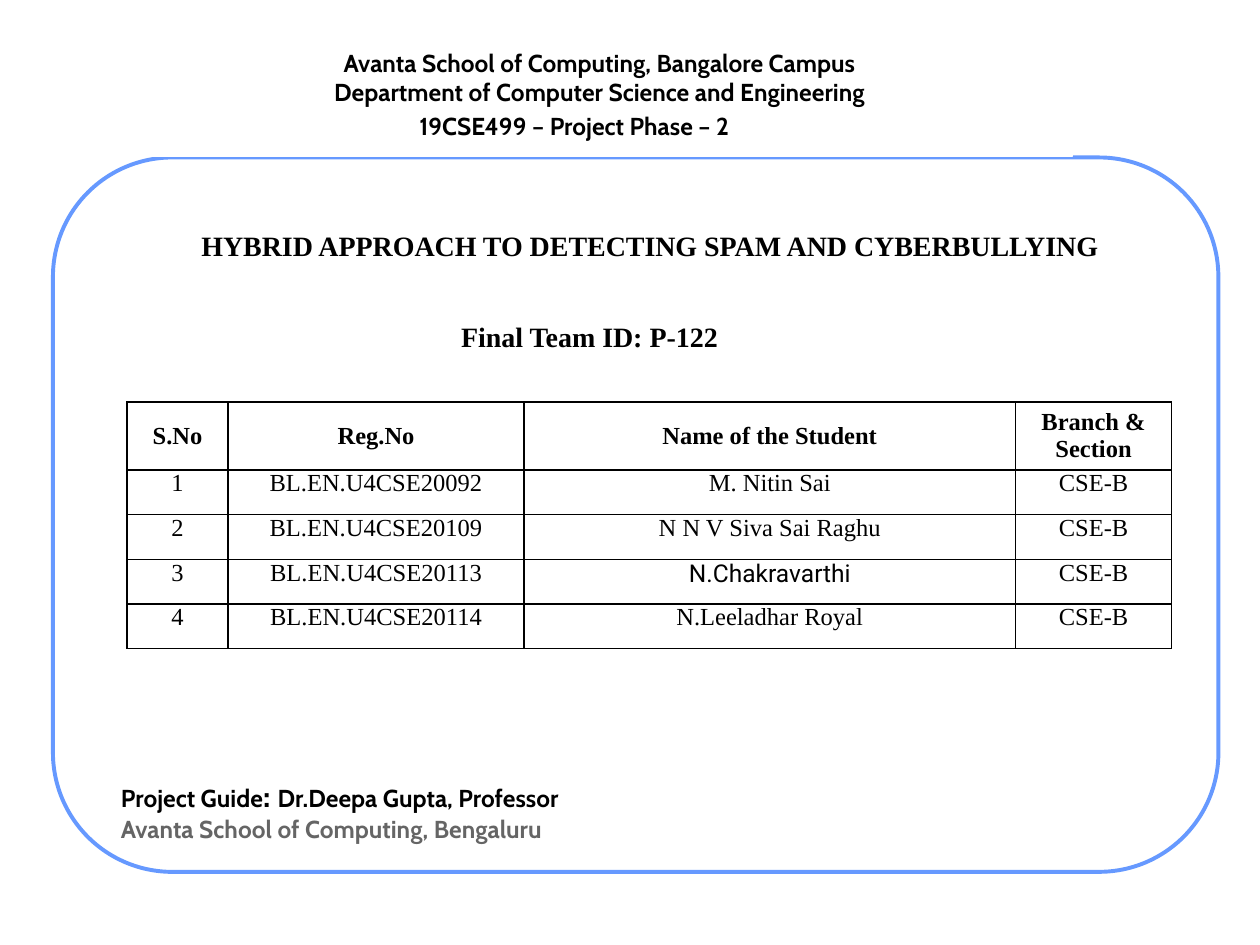
from dataclasses import dataclass

from lxml import etree
from pptx import Presentation
from pptx.dml.color import RGBColor
from pptx.enum.shapes import MSO_SHAPE
from pptx.enum.text import MSO_ANCHOR, MSO_AUTO_SIZE, PP_ALIGN
from pptx.oxml.ns import qn
from pptx.util import Inches, Pt

CENTER, LEFT = PP_ALIGN.CENTER, PP_ALIGN.LEFT
TOP, MIDDLE = MSO_ANCHOR.TOP, MSO_ANCHOR.MIDDLE
ROUND, RECT = MSO_SHAPE.ROUNDED_RECTANGLE, MSO_SHAPE.RECTANGLE
NO_FIT = MSO_AUTO_SIZE.NONE
COLORS = {"black": "000000", "white": "FFFFFF", "blue": "6699FF", "gray": "656565"}
SERIF, SANS, PLAIN = "Times New Roman", "Cabin", "Roboto"


@dataclass
class Box:
    left: float
    top: float
    width: float
    height: float

    def emus(self) -> tuple:
        return tuple(Inches(v) for v in (self.left, self.top, self.width, self.height))


@dataclass
class Run:
    text: str
    size: int = 14
    font: str = SANS
    color: str = "black"
    bold: bool = True


@dataclass
class Student:
    reg: str
    name: str
    font: str = SERIF


HEAD = ["S.No", "Reg.No", "Name of the Student", "Branch & Section"]
SECTION = "CSE-B"
STUDENTS = [
    Student("BL.EN.U4CSE20092", "M. Nitin Sai"),
    Student("BL.EN.U4CSE20109", "N N V Siva Sai Raghu"),
    Student("BL.EN.U4CSE20113", "N.Chakravarthi", PLAIN),
    Student("BL.EN.U4CSE20114", "N.Leeladhar Royal"),
]
COLS = [0.8, 2.35, 3.9, 1.24]
HEAD_ROW, BODY_ROW = 0.54, 0.355


def rgb(name: str) -> RGBColor:
    return RGBColor.from_string(COLORS[name])


def write(frame, lines: list[list[Run]], align=LEFT, anchor=TOP, inset=0.05) -> None:
    """Fill a text frame with one paragraph for each list of runs."""
    frame.word_wrap = True
    frame.auto_size = NO_FIT
    frame.vertical_anchor = anchor
    frame.margin_left = frame.margin_right = Inches(inset)
    frame.margin_top = frame.margin_bottom = Inches(0.05)
    for i, line in enumerate(lines):
        para = frame.paragraphs[0] if i == 0 else frame.add_paragraph()
        fill_para(para, line, align)


def fill_para(para, line: list[Run], align) -> None:
    para.alignment = align
    for item in line:
        run = para.add_run()
        run.text = item.text
        font = run.font
        font.name, font.size, font.bold = item.font, Pt(item.size), item.bold
        font.color.rgb = rgb(item.color)


def add_panel(slide, kind, box: Box, line: str, width: float):
    panel = slide.shapes.add_shape(kind, *box.emus())
    panel.shadow.inherit = False
    panel.fill.solid()
    panel.fill.fore_color.rgb = rgb("white")
    panel.line.color.rgb = rgb(line)
    panel.line.width = Pt(width)
    return panel


def add_text(slide, box: Box, lines: list[list[Run]], inset: float) -> None:
    write(slide.shapes.add_textbox(*box.emus()).text_frame, lines, inset=inset)


def set_title(slide) -> None:
    title = slide.shapes.title
    title.left, title.top, title.width, title.height = Box(0.95, 2.08, 8.42, 0.46).emus()
    lines = ["HYBRID APPROACH TO DETECTING SPAM AND CYBERBULLYING", "Final Team ID: P-122"]
    write(title.text_frame, [[Run(t, 16, SERIF)] for t in lines], CENTER, MIDDLE)
    team = title.text_frame.paragraphs[1]
    team.space_before = Pt(33)
    team.alignment = LEFT
    team._p.get_or_add_pPr().set("marL", str(Inches(2.66)))


def add_frame(slide) -> None:
    """Put the rounded frame behind the title."""
    frame = add_panel(slide, ROUND, Box(0.42, 1.25, 9.25, 5.67), "blue", 2.25)
    frame.adjustments[0] = 0.167
    slide.shapes.title.element.addprevious(frame.element)


def add_borders(cell) -> None:
    props = cell._tc.get_or_add_tcPr()
    for i, side in enumerate(("a:lnL", "a:lnR", "a:lnT", "a:lnB")):
        line = etree.Element(qn(side), w=str(Pt(1)))
        fill = etree.SubElement(line, qn("a:solidFill"))
        etree.SubElement(fill, qn("a:srgbClr"), val=COLORS["black"])
        props.insert(i, line)


def add_students(slide) -> None:
    rows = [[Run(t, font=SERIF) for t in HEAD]]
    for num, person in enumerate(STUDENTS, 1):
        rows.append([
            Run(str(num), font=SERIF, bold=False),
            Run(person.reg, font=SERIF, bold=False),
            Run(person.name, font=person.font, bold=False),
            Run(SECTION, font=SERIF, bold=False),
        ])
    box = Box(1.01, 3.19, sum(COLS), HEAD_ROW + BODY_ROW * len(STUDENTS))
    table = slide.shapes.add_table(len(rows), len(COLS), *box.emus()).table
    table.first_row = table.horz_banding = False
    for col, width in zip(table.columns, COLS):
        col.width = Inches(width)
    for r, row in enumerate(rows):
        table.rows[r].height = Inches(BODY_ROW if r else HEAD_ROW)
        for c, run in enumerate(row):
            cell = table.cell(r, c)
            cell.margin_left = cell.margin_right = 0
            cell.margin_top = cell.margin_bottom = 0
            cell.vertical_anchor = TOP if r else MIDDLE
            cell.fill.background()
            fill_para(cell.text_frame.paragraphs[0], [run], CENTER)
            add_borders(cell)


def main() -> None:
    deck = Presentation()
    deck.slide_width, deck.slide_height = Inches(10), Inches(7.5)
    slide = deck.slides.add_slide(deck.slide_layouts[5])
    set_title(slide)
    add_frame(slide)
    header = add_panel(slide, RECT, Box(1.01, 0.33, 7.5, 0.91), "white", 0.75)
    write(header.text_frame, [
        [Run("Avanta School of Computing, Bangalore Campus")],
        [Run("Department of Computer Science and Engineering")],
    ], CENTER)
    add_students(slide)
    add_text(slide, Box(0.91, 6.11, 8.3, 0.64), [
        [Run("Project Guide"), Run(": ", 18), Run("Dr.Deepa Gupta, Professor")],
        [Run("Avanta School of Computing, Bengaluru", color="gray")],
    ], 0.05)
    add_text(slide, Box(3.23, 0.83, 3.54, 0.57), [[Run("19CSE499 – Project Phase – 2")]], 0.1)
    deck.save("out.pptx")


if __name__ == "__main__":
    main()
